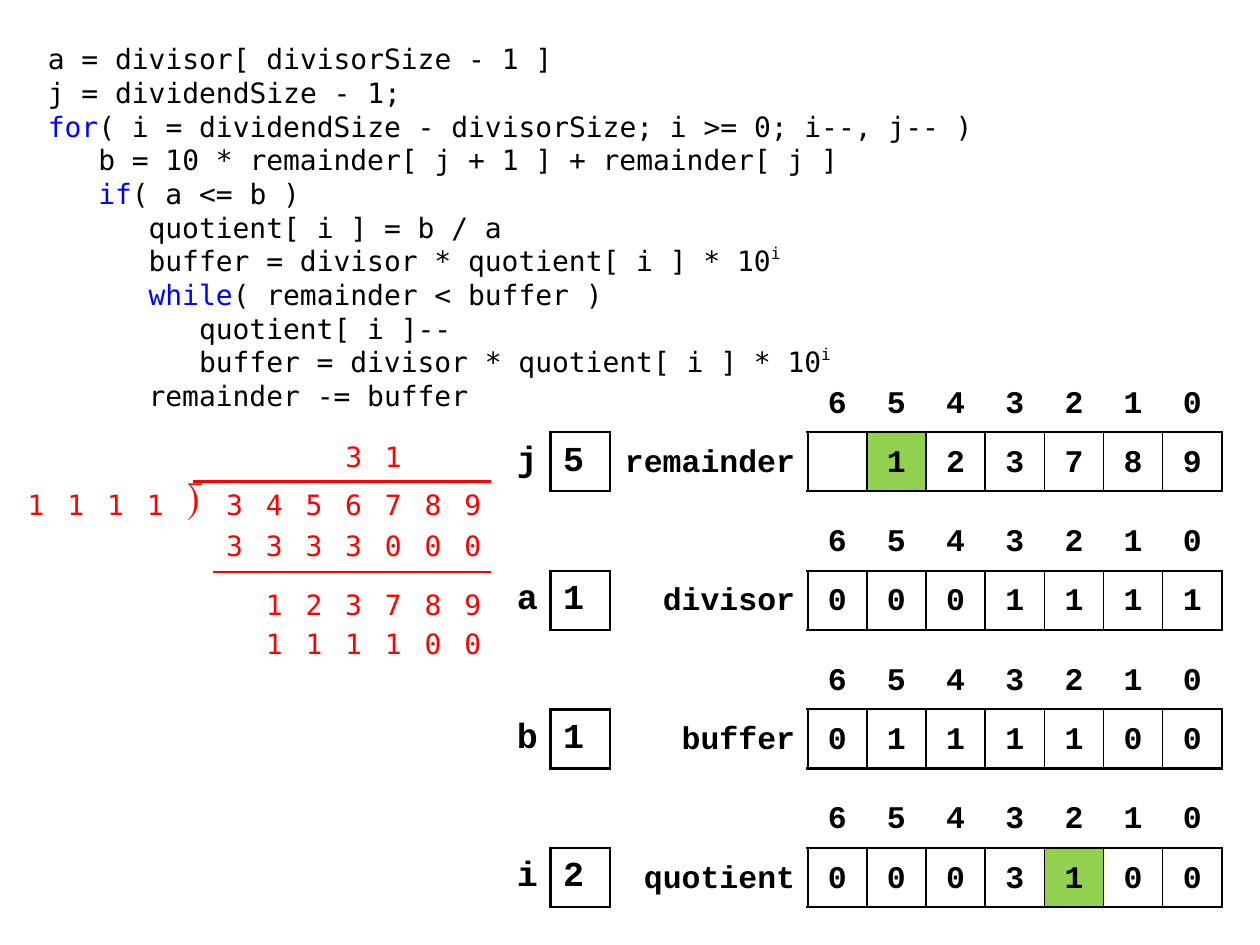
from lxml import etree
from pptx import Presentation, util as u
from pptx.dml.color import RGBColor
from pptx.enum import shapes, text
from pptx.oxml import ns

BLACK, RED, BLUE, GREEN = "000000", "FF0000", "0000FF", "92D050"
CODE_FONT = "DejaVu Sans Mono"
CODE = {"name": CODE_FONT, "size": u.Pt(16), "bold": False}
ARRAY = {"name": "Courier New", "size": u.Pt(18), "bold": True}
COUNTER = ARRAY | {"size": u.Pt(20)}
BRACKET = {"name": "Cambria", "size": u.Pt(22), "bold": False}
CENTER, LEFT, RIGHT = (text.PP_ALIGN.CENTER, text.PP_ALIGN.LEFT,
                       text.PP_ALIGN.RIGHT)
TOP, MIDDLE = text.MSO_ANCHOR.TOP, text.MSO_ANCHOR.MIDDLE

BOX = 0.47          # side of an array cell
DIGIT = 0.315       # column width of the long division
DIVISION_RIGHT = 3.9
ARRAY_LEFT = 4.84
STEP = 1.1          # distance from one array to the next
INDENT = 0.4        # three characters of code


def color(hex_value):
    return RGBColor.from_string(hex_value)


def set_all(target, values):
    for name, value in values.items():
        setattr(target, name, value)


class Board:
    def __init__(self, slide):
        self.slide = slide

    def add_run(self, paragraph, words, style, hex_value=BLACK):
        run = paragraph.add_run()
        run.text = words
        set_all(run.font, style)
        run.font.color.rgb = color(hex_value)
        return run

    def code(self, lines):
        """Fill the body placeholder; a line is (depth, keyword, rest, exponent)."""
        body = self.slide.placeholders[1]
        set_all(body, {"left": u.Inches(0.28), "top": u.Inches(0.28),
                       "width": u.Inches(8.19), "height": u.Inches(2.99)})
        frame = body.text_frame
        set_all(frame, {"word_wrap": True, "vertical_anchor": TOP,
                        "auto_size": text.MSO_AUTO_SIZE.NONE})
        for number, (depth, keyword, rest, exponent) in enumerate(lines):
            line = frame.paragraphs[0] if number == 0 else frame.add_paragraph()
            set_all(line, {"space_before": u.Pt(0), "line_spacing": u.Pt(19.25)})
            properties = line._p.get_or_add_pPr()
            properties.set("marL", str(u.Inches(depth * INDENT)))
            properties.set("indent", "0")
            etree.SubElement(properties, ns.qn("a:buNone"))
            if keyword:
                self.add_run(line, keyword, CODE, BLUE)
            self.add_run(line, rest, CODE)
            if exponent:
                power = self.add_run(line, exponent, CODE)
                power._r.get_or_add_rPr().set("baseline", "44000")

    def table(self, left, top, widths, row_count):
        grid = self.slide.shapes.add_table(
            row_count, len(widths), u.Inches(left), u.Inches(top),
            u.Inches(sum(widths)), u.Inches(BOX * row_count)).table
        set_all(grid, {"first_row": False, "horz_banding": False})
        for column, width in zip(grid.columns, widths):
            column.width = u.Inches(width)
        for row in grid.rows:
            row.height = u.Inches(BOX)
        return grid

    def cell(self, cell, words, style, hex_value=BLACK, align=CENTER,
             anchor=TOP, spacing=1.25, inset=0.04, fill=None, borders=None):
        """Format one cell; borders maps the sides L, R, T, B to points."""
        set_all(cell, {"margin_left": u.Inches(0.1), "margin_right": u.Inches(0.1),
                       "margin_top": u.Inches(inset),
                       "margin_bottom": u.Inches(inset),
                       "vertical_anchor": anchor})
        paragraph = cell.text_frame.paragraphs[0]
        set_all(paragraph, {"alignment": align, "line_spacing": spacing})
        if words:
            self.add_run(paragraph, words, style, hex_value)
        properties = cell._tc.get_or_add_tcPr()
        for side in "LRTB":
            points = (borders or {}).get(side)
            edge = etree.SubElement(properties, ns.qn(f"a:ln{side}"))
            if points:
                edge.set("w", str(u.Pt(points)))
                solid = etree.SubElement(edge, ns.qn("a:solidFill"))
                etree.SubElement(solid, ns.qn("a:srgbClr"), val=BLACK)
            else:
                etree.SubElement(edge, ns.qn("a:noFill"))
        if fill:
            cell.fill.solid()
            cell.fill.fore_color.rgb = color(fill)
        else:
            cell.fill.background()

    def array(self, top, label, digits, active=None):
        """Draw a labelled array with its indices above, highest first."""
        count = len(digits)
        grid = self.table(ARRAY_LEFT, top, [1.57] + [BOX] * count, 2)
        self.cell(grid.cell(0, 0), "", ARRAY)
        self.cell(grid.cell(1, 0), label, ARRAY, align=RIGHT, borders={"R": 1.5})
        for column, digit in enumerate(digits, start=1):
            index = count - column
            self.cell(grid.cell(0, column), str(index), ARRAY, borders={"B": 1.5})
            self.cell(grid.cell(1, column), digit.strip(), ARRAY,
                      fill=GREEN if index == active else None,
                      borders={"L": 1.5 if column == 1 else 1,
                               "R": 1.5 if column == count else 1,
                               "T": 1.5, "B": 1.5})

    def counter(self, top, name, value):
        grid = self.table(DIVISION_RIGHT, top, [BOX, BOX], 1)
        shared = {"anchor": MIDDLE, "spacing": 1.0}
        self.cell(grid.cell(0, 0), name, COUNTER, align=RIGHT,
                  borders={"R": 1.5}, **shared)
        self.cell(grid.cell(0, 1), value, COUNTER, align=LEFT,
                  borders=dict.fromkeys("LRTB", 1.5), **shared)

    def division_row(self, top, digits, anchor=MIDDLE):
        """Set one character a column, ending at the right edge of the division."""
        left = DIVISION_RIGHT - DIGIT * len(digits)
        grid = self.table(left, top, [DIGIT] * len(digits), 1)
        for column, digit in enumerate(digits):
            bracket = digit == "⟌"
            self.cell(grid.cell(0, column), digit.strip(),
                      BRACKET if bracket else CODE, RED,
                      anchor=TOP if bracket else anchor, inset=0)

    def rule(self, left, top):
        line = self.slide.shapes.add_connector(
            shapes.MSO_CONNECTOR.STRAIGHT, u.Inches(left), u.Inches(top),
            u.Inches(DIVISION_RIGHT), u.Inches(top))
        line.line.color.rgb = color(RED)
        line.line.width = u.Pt(1.5)
        etree.SubElement(line._element.spPr, ns.qn("a:effectLst"))


def main():
    deck = Presentation()
    set_all(deck, {"slide_width": u.Inches(10), "slide_height": u.Inches(7.5)})
    slide = deck.slides.add_slide(deck.slide_layouts[1])
    title = slide.shapes.title._element
    title.getparent().remove(title)
    board = Board(slide)

    board.code([
        (0, "", "a = divisor[ divisorSize - 1 ]", ""),
        (0, "", "j = dividendSize - 1;", ""),
        (0, "for", "( i = dividendSize - divisorSize; i >= 0; i--, j-- )", ""),
        (1, "", "b = 10 * remainder[ j + 1 ] + remainder[ j ]", ""),
        (1, "if", "( a <= b )", ""),
        (2, "", "quotient[ i ] = b / a", ""),
        (2, "", "buffer = divisor * quotient[ i ] * 10", "i"),
        (2, "while", "( remainder < buffer )", ""),
        (3, "", "quotient[ i ]--", ""),
        (3, "", "buffer = divisor * quotient[ i ] * 10", "i"),
        (2, "", "remainder -= buffer", ""),
    ])

    steps = [("remainder", " 123789", 5, "j", "5"),
             ("divisor", "0001111", None, "a", "1"),
             ("buffer", "0111100", None, "b", "1"),
             ("quotient", "0003100", 2, "i", "2")]
    for number, (label, digits, active, name, value) in enumerate(steps):
        top = 2.96 + number * STEP
        board.array(top, label, digits, active)
        board.counter(top + BOX, name, value)

    board.division_row(3.75, "1111⟌3456789")
    board.rule(1.53, 3.82)
    board.division_row(3.44, "31  ", anchor=TOP)
    board.division_row(4.07, "3333000")
    board.rule(1.69, 4.54)
    board.division_row(4.54, " 123789")
    board.division_row(4.85, " 111100")
    deck.save("out.pptx")


if __name__ == "__main__":
    main()
